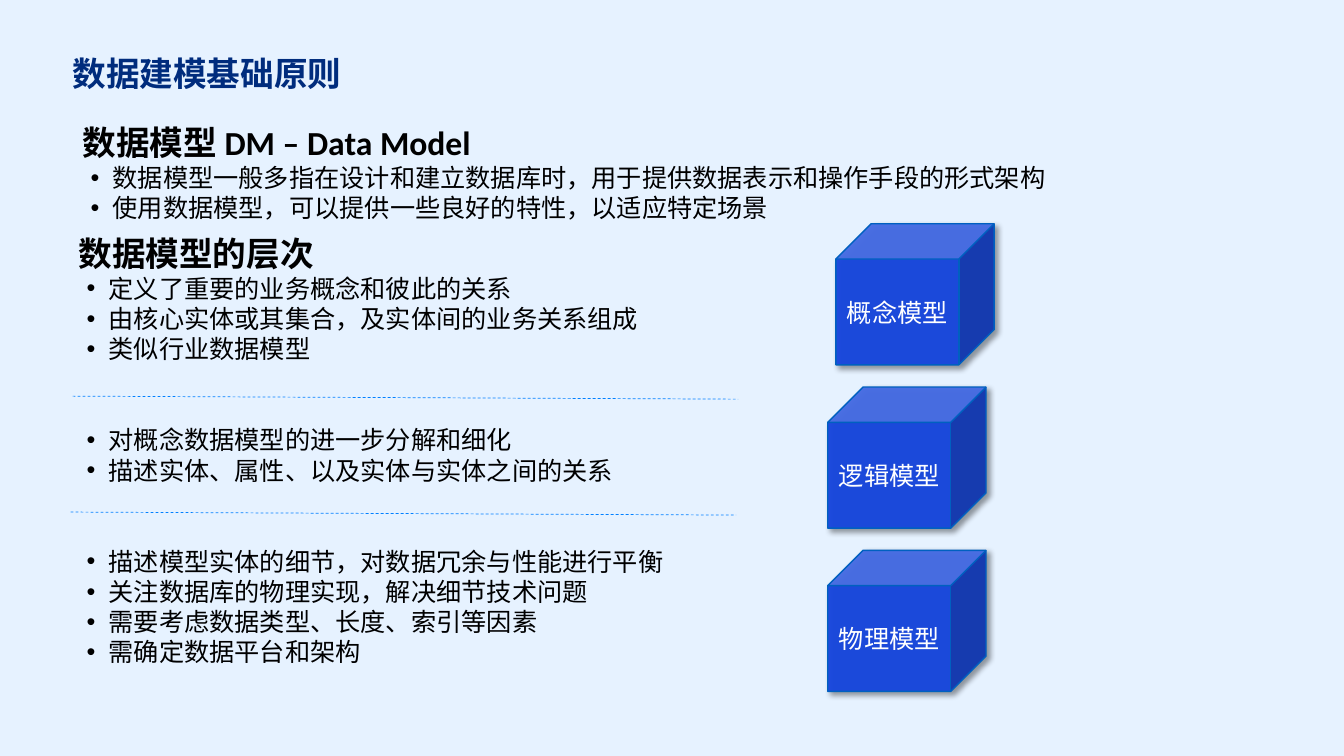
import pptx
import pptx.dml.color
import pptx.enum.dml
import pptx.enum.shapes
import pptx.enum.text
import pptx.oxml
import pptx.oxml.ns
import pptx.oxml.xmlchemy
import pptx.util

Inches = pptx.util.Inches
Pt = pptx.util.Pt


def color(hex_string):
    return pptx.dml.color.RGBColor.from_string(hex_string)


def add_element(parent, tag, **attributes):
    element = pptx.oxml.xmlchemy.OxmlElement(tag)
    for name, value in attributes.items():
        element.set(name, str(value))
    parent.append(element)
    return element


def set_font(paragraph, size, name, hex_string, bold=False):
    paragraph.font.size = Pt(size)
    paragraph.font.name = name
    paragraph.font.bold = bold
    paragraph.font.color.rgb = color(hex_string)


def add_bullet(paragraph):
    properties = paragraph._p.get_or_add_pPr()
    properties.set("marL", str(Inches(0.3)))
    properties.set("indent", str(-Inches(0.22)))
    add_element(properties, "a:buFont", typeface="Arial")
    add_element(properties, "a:buChar", char="•")


def add_title(slide, left, top, width, height, text):
    box = slide.shapes.add_textbox(Inches(left), Inches(top), Inches(width), Inches(height))
    frame = box.text_frame
    frame.margin_left = frame.margin_right = frame.margin_top = frame.margin_bottom = 0
    frame.word_wrap = False
    frame.text = text
    set_font(frame.paragraphs[0], 24, "Arial", "002C7D", bold=True)


def add_section(slide, left, top, width, height, heading, groups):
    """Place a heading with groups of bullets, the groups set apart by space."""
    box = slide.shapes.add_textbox(Inches(left), Inches(top), Inches(width), Inches(height))
    frame = box.text_frame
    frame.word_wrap = True
    frame.text = heading
    set_font(frame.paragraphs[0], 24, "Calibri", "000000", bold=True)
    for group_index, group in enumerate(groups):
        for item_index, item in enumerate(group):
            paragraph = frame.add_paragraph()
            paragraph.text = item
            if group_index and not item_index:
                paragraph.space_before = Pt(43.5)
            add_bullet(paragraph)
            set_font(paragraph, 18, "Calibri", "000000")


def add_model_cube(slide, left, top, width, height, label):
    cube = slide.shapes.add_shape(
        pptx.enum.shapes.MSO_SHAPE.CUBE, Inches(left), Inches(top), Inches(width), Inches(height))
    cube.fill.solid()
    cube.fill.fore_color.rgb = color("1746DD")
    fill_color = cube._element.spPr.find(".//" + pptx.oxml.ns.qn("a:srgbClr"))
    add_element(fill_color, "a:alpha", val=96000)
    cube.line.color.rgb = color("0060C0")
    cube.line.width = Pt(1)
    # Soft shadow to the lower right
    cube.shadow.inherit = False
    effects = cube._element.spPr.find(pptx.oxml.ns.qn("a:effectLst"))
    shadow = add_element(effects, "a:outerShdw", blurRad=Pt(4), dist=Pt(3),
                         dir=45 * 60000, algn="tl", rotWithShape=0)
    add_element(add_element(shadow, "a:srgbClr", val="000000"), "a:alpha", val=40000)
    # Label
    frame = cube.text_frame
    frame.vertical_anchor = pptx.enum.text.MSO_ANCHOR.MIDDLE
    frame.text = label
    frame.paragraphs[0].alignment = pptx.enum.text.PP_ALIGN.CENTER
    set_font(frame.paragraphs[0], 18, "Calibri", "FFFFFF")


def add_divider(slide, left, top, width, drop):
    divider = slide.shapes.add_connector(
        pptx.enum.shapes.MSO_CONNECTOR.STRAIGHT,
        Inches(left), Inches(top), Inches(left + width), Inches(top + drop))
    divider.line.color.rgb = color("0180FF")
    divider.line.width = Pt(0.5)
    divider.line.dash_style = pptx.enum.dml.MSO_LINE.DASH
    add_element(divider._element.spPr, "a:effectLst")


def main():
    presentation = pptx.Presentation()
    presentation.slide_width = Inches(13.33)
    presentation.slide_height = Inches(7.5)
    slide = presentation.slides.add_slide(presentation.slide_layouts[6])
    slide.background.fill.solid()
    slide.background.fill.fore_color.rgb = color("E6F2FF")

    # Title and definition
    add_title(slide, 0.72, 0.53, 2.67, 0.4, "数据建模基础原则")
    add_section(slide, 0.72, 1.16, 12.2, 1.1, "数据模型 DM – Data Model", [
        ["数据模型一般多指在设计和建立数据库时，用于提供数据表示和操作手段的形式架构",
         "使用数据模型，可以提供一些良好的特性，以适应特定场景"],
    ])

    # Levels of the data model
    add_section(slide, 0.68, 2.26, 6.41, 4.66, "数据模型的层次", [
        ["定义了重要的业务概念和彼此的关系",
         "由核心实体或其集合，及实体间的业务关系组成",
         "类似行业数据模型"],
        ["对概念数据模型的进一步分解和细化",
         "描述实体、属性、以及实体与实体之间的关系"],
        ["描述模型实体的细节，对数据冗余与性能进行平衡",
         "关注数据库的物理实现，解决细节技术问题",
         "需要考虑数据类型、长度、索引等因素",
         "需确定数据平台和架构"],
    ])

    # One cube per level
    cubes = [(8.29, "概念模型"), (8.21, "逻辑模型"), (8.21, "物理模型")]
    for index, (left, label) in enumerate(cubes):
        add_model_cube(slide, left, 2.22 + 1.62 * index, 1.57, 1.4, label)

    # Dividers between the levels
    for left, top in [(0.72, 3.93), (0.7, 5.08)]:
        add_divider(slide, left, top, 6.6, 0.03)

    presentation.save("out.pptx")


if __name__ == "__main__":
    main()
